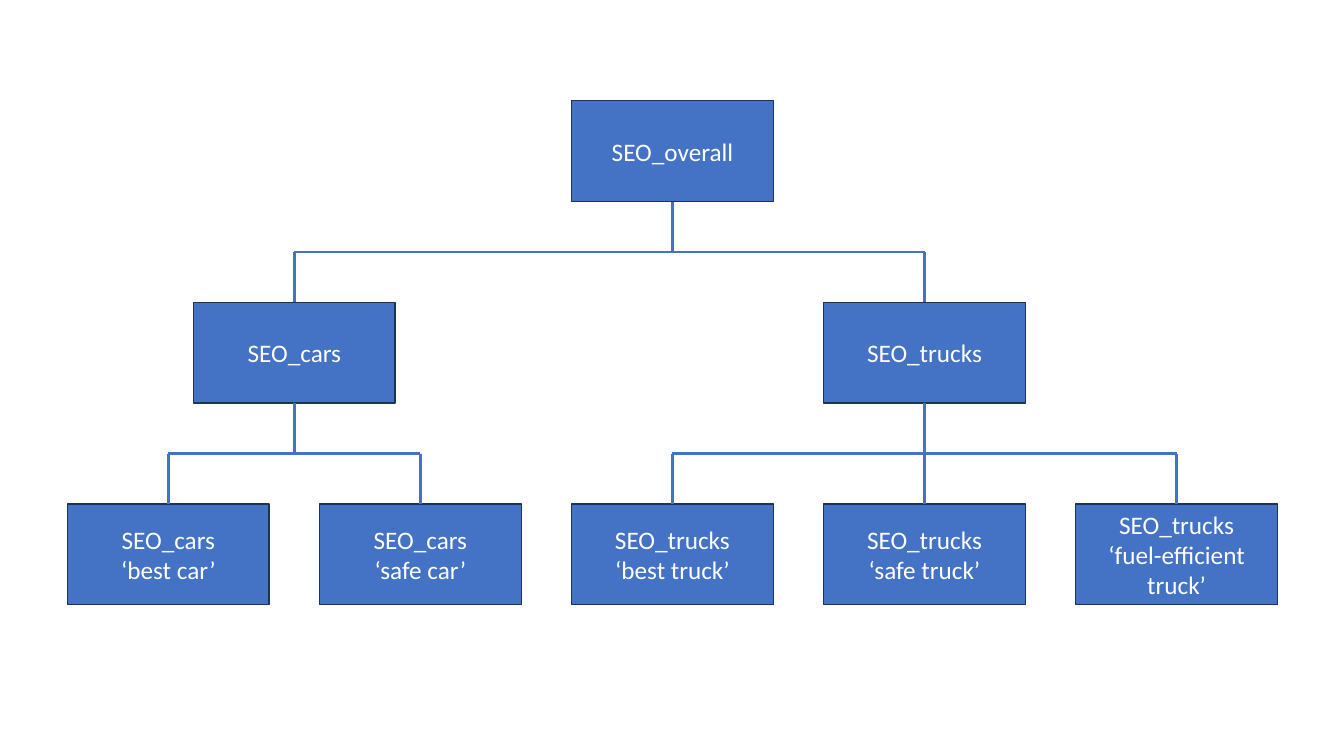
from lxml import etree
from pptx import Presentation, util as u
from pptx.dml.color import RGBColor
from pptx.enum import shapes, text
from pptx.oxml.ns import qn

PX = 9144
WIDE, HIGH, DROP = 200, 100, 50
TOP, LEFT, STEP, FLOOR = 100, 67, 250, 200
COLORS = {"box": "4472C4", "edge": "1E3256", "link": "4472C4", "text": "FFFFFF"}

ROOT = (2, "SEO_overall")
GROUPS = [
    (0.5, "SEO_cars", [(0, "‘best car’"), (1, "‘safe car’")]),
    (3, "SEO_trucks", [(2, "‘best truck’"), (3, "‘safe truck’"),
                       (4, "‘fuel-efficient truck’")]),
]


class Chart:
    font = "Calibri"
    size = u.Pt(18)

    def __init__(self, slide):
        self.slide = slide

    def color(self, name):
        return RGBColor.from_string(COLORS[name])

    def box(self, col, row, label):
        x, y = round(LEFT + col * STEP), TOP + row * FLOOR
        box = self.slide.shapes.add_shape(
            shapes.MSO_SHAPE.RECTANGLE, x * PX, y * PX, WIDE * PX, HIGH * PX)
        box.shadow.inherit = False
        box.fill.solid()
        box.fill.fore_color.rgb = self.color("box")
        box.line.color.rgb = self.color("edge")
        box.line.width = u.Pt(1)
        frame = box.text_frame
        frame.word_wrap = True
        frame.vertical_anchor = text.MSO_ANCHOR.MIDDLE
        frame.text = label
        for para in frame.paragraphs:
            para.alignment = text.PP_ALIGN.CENTER
            for run in para.runs:
                run.font.name = self.font
                run.font.size = self.size
                run.font.color.rgb = self.color("text")
        return box

    def line(self, x1, y1, x2, y2):
        line = self.slide.shapes.add_connector(
            shapes.MSO_CONNECTOR.STRAIGHT, x1, y1, x2, y2)
        line.line.color.rgb = self.color("link")
        line.line.width = u.Pt(2)
        etree.SubElement(line._element.spPr, qn("a:effectLst"))
        return line

    def branch(self, head, kids):
        mids = [kid.left + kid.width // 2 for kid in kids]
        mid = head.left + head.width // 2
        base = head.top + head.height
        bar = base + DROP * PX
        self.line(mids[0], bar, mids[-1], bar)
        self.line(mid, base, mid, bar).begin_connect(head, 2)
        for kid, x in zip(kids, mids):
            self.line(x, bar, x, kid.top).end_connect(kid, 0)


def main():
    deck = Presentation()
    deck.slide_width, deck.slide_height = u.Inches(13.33), u.Inches(7.5)
    chart = Chart(deck.slides.add_slide(deck.slide_layouts[6]))
    root = chart.box(ROOT[0], 0, ROOT[1])
    heads = [chart.box(col, 1, name) for col, name, _ in GROUPS]
    leaves = [[chart.box(col, 2, f"{name}\n{term}") for col, term in terms]
              for _, name, terms in GROUPS]
    chart.branch(root, heads)
    for head, kids in zip(heads, leaves):
        chart.branch(head, kids)
    deck.save("out.pptx")


if __name__ == "__main__":
    main()
